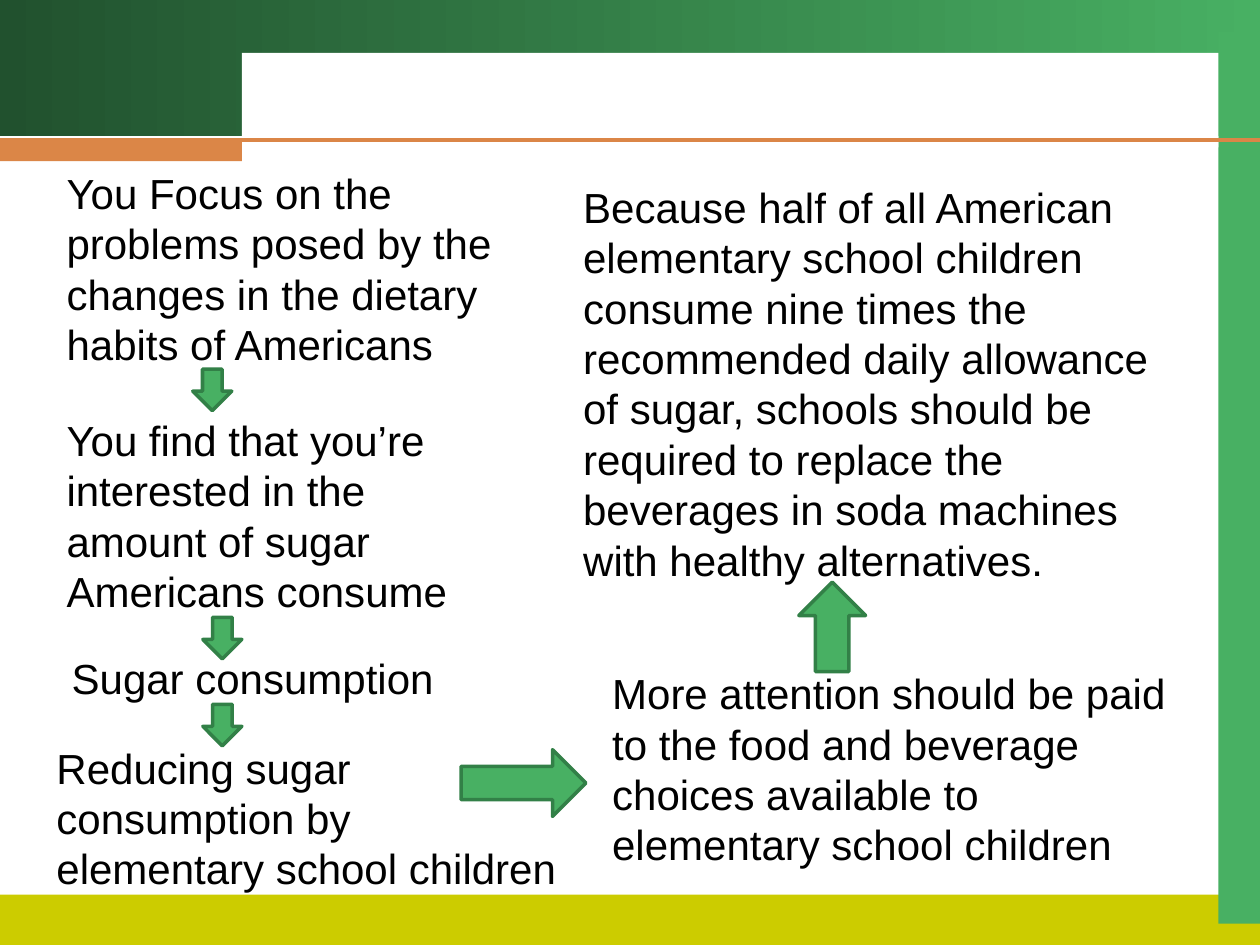
"""Build the slide that narrows a topic step by step to a thesis."""
from dataclasses import dataclass

from lxml import etree
from pptx import Presentation
from pptx import util as u
from pptx.dml.color import RGBColor
from pptx.enum import shapes, text
from pptx.oxml.ns import qn

COLUMNS, ROWS = 100, 75
CELL = u.Inches(0.1)


@dataclass(frozen=True)
class Theme:
    dark: str = "21512E"
    green: str = "48B063"
    edge: str = "328047"
    olive: str = "CCCC00"
    orange: str = "DB8647"
    white: str = "FFFFFF"
    ink: str = "000000"
    font: str = "Arial"
    size: int = 24
    rule: float = 2.25
    outline: float = 2


@dataclass(frozen=True)
class Area:
    column: float
    row: float
    columns: float
    rows: float

    def lengths(self) -> list[int]:
        return [round(n * CELL) for n in (self.column, self.row, self.columns, self.rows)]


@dataclass(frozen=True)
class Step:
    area: Area
    words: str
    align: text.PP_ALIGN = text.PP_ALIGN.LEFT


@dataclass(frozen=True)
class Arrow:
    area: Area
    preset: shapes.MSO_SHAPE


THEME = Theme()
KIND = shapes.MSO_SHAPE
RULE_ROW, TAB_COLUMNS = 11.1, 19.2
SIDE_COLUMN = 96.7

BANDS = [
    (Area(0, 71, COLUMNS, ROWS - 71), THEME.olive),
    (Area(SIDE_COLUMN, 2.5, COLUMNS - SIDE_COLUMN, 70.8), THEME.green),
    (Area(TAB_COLUMNS, 4.2, SIDE_COLUMN - TAB_COLUMNS, 7.5), THEME.white),
    (Area(0, RULE_ROW, TAB_COLUMNS, 1.7), THEME.orange),
]

STEPS = [
    Step(Area(4.3, 12.8, 36.2, 17),
         "You Focus on the problems posed by the changes in the dietary habits of Americans"),
    Step(Area(4.3, 32.4, 35.4, 17),
         "You find that you’re interested in the amount of sugar Americans consume"),
    Step(Area(4.3, 51.3, 31.5, 5), "Sugar consumption", text.PP_ALIGN.CENTER),
    Step(Area(3.5, 58.4, 41.7, 13),
         "Reducing sugar consumption by elementary school children"),
    Step(Area(47.6, 52.5, 46.9, 17),
         "More attention should be paid to the food and beverage choices "
         "available to elementary school children"),
    Step(Area(45.3, 13.9, 48.8, 33),
         "Because half of all American elementary school children consume nine times "
         "the recommended daily allowance of sugar, schools should be required to "
         "replace the beverages in soda machines with healthy alternatives."),
]

ARROWS = [
    *(Arrow(Area(column, row, 3.1, 3.3), KIND.DOWN_ARROW)
      for column, row in ((15.3, 29.3), (16.1, 49), (16.1, 55.9))),
    Arrow(Area(36.6, 59.5, 9.9, 5.3), KIND.RIGHT_ARROW),
    Arrow(Area(63.4, 46.2, 5.3, 7.1), KIND.UP_ARROW),
]


def color(value: str) -> RGBColor:
    """Turn a hex value into a colour."""
    return RGBColor.from_string(value)


def apply(target, values: dict) -> None:
    """Set each named attribute of the target."""
    for name, value in values.items():
        setattr(target, name, value)


def draw_shape(page, preset: shapes.MSO_SHAPE, area: Area, fill: str):
    """Draw a flat preset shape without a line."""
    shape = page.shapes.add_shape(preset, *area.lengths())
    shape.shadow.inherit = False
    shape.fill.solid()
    shape.fill.fore_color.rgb = color(fill)
    shape.line.fill.background()
    return shape


def draw_header(page) -> None:
    """Draw the header that fades from dark to light green."""
    header = draw_shape(page, KIND.RECTANGLE, Area(0, 0, COLUMNS, 10.8), THEME.dark)
    header.fill.gradient()
    header.fill.gradient_angle = 0
    for stop, position, value in zip(header.fill.gradient_stops, (0, 1),
                                     (THEME.dark, THEME.green)):
        stop.position = position
        stop.color.rgb = color(value)


def draw_rule(page) -> None:
    """Draw the orange rule across the slide."""
    left, top, width, _ = Area(0, RULE_ROW, COLUMNS, 0).lengths()
    rule = page.shapes.add_connector(shapes.MSO_CONNECTOR.STRAIGHT, left, top, left + width, top)
    rule.line.color.rgb = color(THEME.orange)
    rule.line.width = u.Pt(THEME.rule)
    etree.SubElement(rule.line._get_or_add_ln().getparent(), qn("a:effectLst"))


def draw_step(page, step: Step) -> None:
    """Write one step of the argument."""
    box = page.shapes.add_textbox(*step.area.lengths())
    apply(box.text_frame, {"word_wrap": True,
                           "auto_size": text.MSO_AUTO_SIZE.SHAPE_TO_FIT_TEXT})
    para = box.text_frame.paragraphs[0]
    para.alignment = step.align
    span = para.add_run()
    span.text = step.words
    apply(span.font, {"name": THEME.font, "size": u.Pt(THEME.size)})
    span.font.color.rgb = color(THEME.ink)


def draw_arrow(page, arrow: Arrow) -> None:
    """Draw an outlined block arrow."""
    shape = draw_shape(page, arrow.preset, arrow.area, THEME.green)
    shape.line.color.rgb = color(THEME.edge)
    shape.line.width = u.Pt(THEME.outline)


def main() -> None:
    """Build and save the deck."""
    deck = Presentation()
    apply(deck, {"slide_width": COLUMNS * CELL, "slide_height": ROWS * CELL})
    page = deck.slides.add_slide(deck.slide_layouts[6])
    draw_header(page)
    for area, fill in BANDS:
        draw_shape(page, KIND.RECTANGLE, area, fill)
    draw_rule(page)
    for step in STEPS:
        draw_step(page, step)
    for arrow in ARROWS:
        draw_arrow(page, arrow)
    deck.save("out.pptx")


if __name__ == "__main__":
    main()
